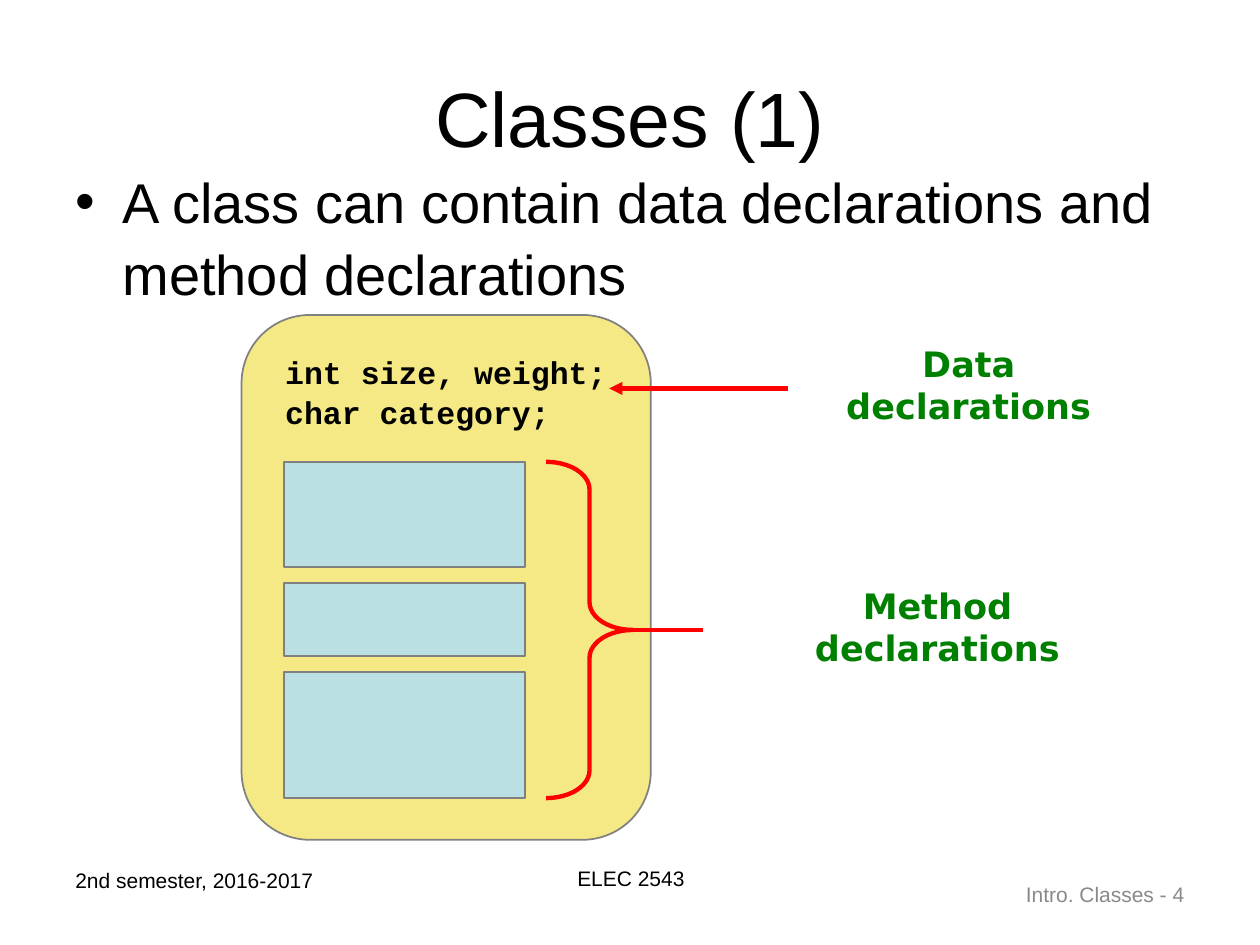
from lxml.etree import SubElement
from pptx import Presentation
from pptx.dml.color import RGBColor
from pptx.enum.shapes import MSO_CONNECTOR, MSO_SHAPE
from pptx.enum.text import MSO_ANCHOR, PP_ALIGN
from pptx.oxml.ns import qn
from pptx.util import Cm, Pt

BLACK = RGBColor(0x00, 0x00, 0x00)
GRAY = RGBColor(0x80, 0x80, 0x80)
FOOTER_GRAY = RGBColor(0x89, 0x89, 0x89)
YELLOW = RGBColor(0xF5, 0xE9, 0x85)
BLUE = RGBColor(0xBB, 0xE0, 0xE3)
RED = RGBColor(0xFF, 0x00, 0x00)
GREEN = RGBColor(0x00, 0x80, 0x00)


class ClassDiagram:
    body_font = "Arial"
    code_font = "Courier New"
    label_font = "DejaVu Sans"
    outline_width = Pt(1)
    pointer_width = Pt(2.5)

    def __init__(self, slide):
        self.slide = slide

    def text(self, words, box, size, color=BLACK, font=body_font, bold=False,
             align=PP_ALIGN.LEFT, anchor=MSO_ANCHOR.TOP, spacing=None, wrap=True):
        holder = self.slide.shapes.add_textbox(*map(Cm, box))
        frame = holder.text_frame
        frame.text = words
        frame.word_wrap = wrap
        frame.vertical_anchor = anchor
        for paragraph in frame.paragraphs:
            paragraph.alignment = align
            paragraph.line_spacing = spacing
            for run in paragraph.runs:
                run.font.name = font
                run.font.size = Pt(size)
                run.font.bold = bold
                run.font.color.rgb = color
        return holder

    def bullet(self, words, box, size):
        holder = self.text(words, box, size, spacing=1.06)
        for paragraph in holder.text_frame.paragraphs:
            properties = paragraph._p.get_or_add_pPr()
            properties.set("marL", str(Cm(0.95)))
            properties.set("indent", str(Cm(-0.95)))
            SubElement(properties, qn("a:buFont"), typeface=self.body_font)
            SubElement(properties, qn("a:buChar"), char="•")

    def label(self, words, box):
        self.text(words, box, 20, GREEN, self.label_font, True,
                  PP_ALIGN.CENTER, MSO_ANCHOR.MIDDLE)

    def block(self, preset, box, fill):
        block = self.slide.shapes.add_shape(preset, *map(Cm, box))
        block.shadow.inherit = False
        block.fill.solid()
        block.fill.fore_color.rgb = fill
        block.line.color.rgb = GRAY
        block.line.width = self.outline_width

    def brace(self, box, curve):
        brace = self.slide.shapes.add_shape(MSO_SHAPE.RIGHT_BRACE, *map(Cm, box))
        brace.shadow.inherit = False
        brace.adjustments[0] = curve
        brace.fill.background()
        brace.line.color.rgb = RED
        brace.line.width = self.pointer_width

    def pointer(self, start, end, y, arrow=False):
        """Draw a level line, with an arrowhead at its end if asked."""
        pointer = self.slide.shapes.add_connector(
            MSO_CONNECTOR.STRAIGHT, Cm(start), Cm(y), Cm(end), Cm(y))
        pointer.line.color.rgb = RED
        pointer.line.width = self.pointer_width
        if arrow:
            SubElement(pointer.line._get_or_add_ln(), qn("a:tailEnd"), type="triangle")
        SubElement(pointer._element.spPr, qn("a:effectLst"))


def main():
    deck = Presentation()
    deck.slide_width, deck.slide_height = Cm(25.4), Cm(19.05)
    diagram = ClassDiagram(deck.slides.add_slide(deck.slide_layouts[6]))

    diagram.text("Classes (1)", (1.27, 0.76, 22.86, 3.18), 44,
                 align=PP_ALIGN.CENTER, anchor=MSO_ANCHOR.MIDDLE)
    diagram.bullet("A class can contain data declarations and method declarations",
                   (1.27, 3.18, 23.06, 11.43), 32)

    diagram.block(MSO_SHAPE.FLOWCHART_ALTERNATE_PROCESS, (4.87, 6.35, 8.25, 10.58), YELLOW)
    methods_top, method_gap = 9.31, 0.32
    method_heights = (2.12, 1.48, 2.54)
    top = methods_top
    for height in method_heights:
        diagram.block(MSO_SHAPE.RECTANGLE, (5.72, top, 4.87, height), BLUE)
        top += height + method_gap
    methods_height = top - method_gap - methods_top
    methods_middle = methods_top + methods_height / 2

    diagram.text("int size, weight;\nchar category;", (5.5, 6.98, 6.98, 1.78), 18,
                 font=diagram.code_font, bold=True, anchor=MSO_ANCHOR.MIDDLE,
                 spacing=1.06, wrap=False)

    diagram.label("Data declarations", (16.15, 7.19, 6.76, 1.12))
    diagram.label("Method declarations", (14.99, 12.07, 7.82, 1.12))
    diagram.pointer(15.88, 12.28, 7.83, arrow=True)
    diagram.brace((11.01, methods_top, 1.75, methods_height), 0.32)
    diagram.pointer(14.18, 12.76, methods_middle)

    diagram.text("2nd semester, 2016-2017", (1.27, 17.36, 5.93, 1.32), 12)
    diagram.text("ELEC 2543", (8.7, 17.32, 8.04, 1.32), 12, align=PP_ALIGN.CENTER)
    diagram.text("Intro. Classes - 4", (18.2, 17.36, 5.93, 1.32), 12, FOOTER_GRAY,
                 align=PP_ALIGN.RIGHT, anchor=MSO_ANCHOR.MIDDLE)
    deck.save("out.pptx")


if __name__ == "__main__":
    main()
